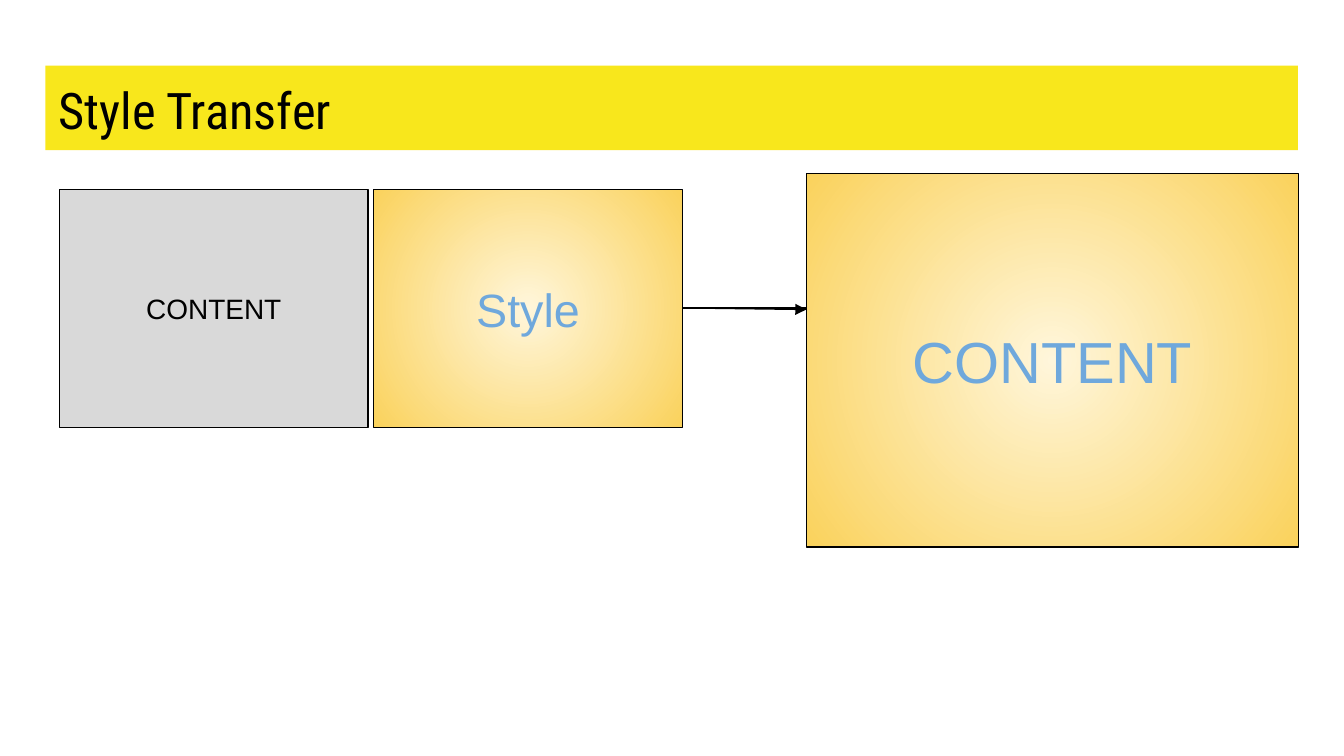
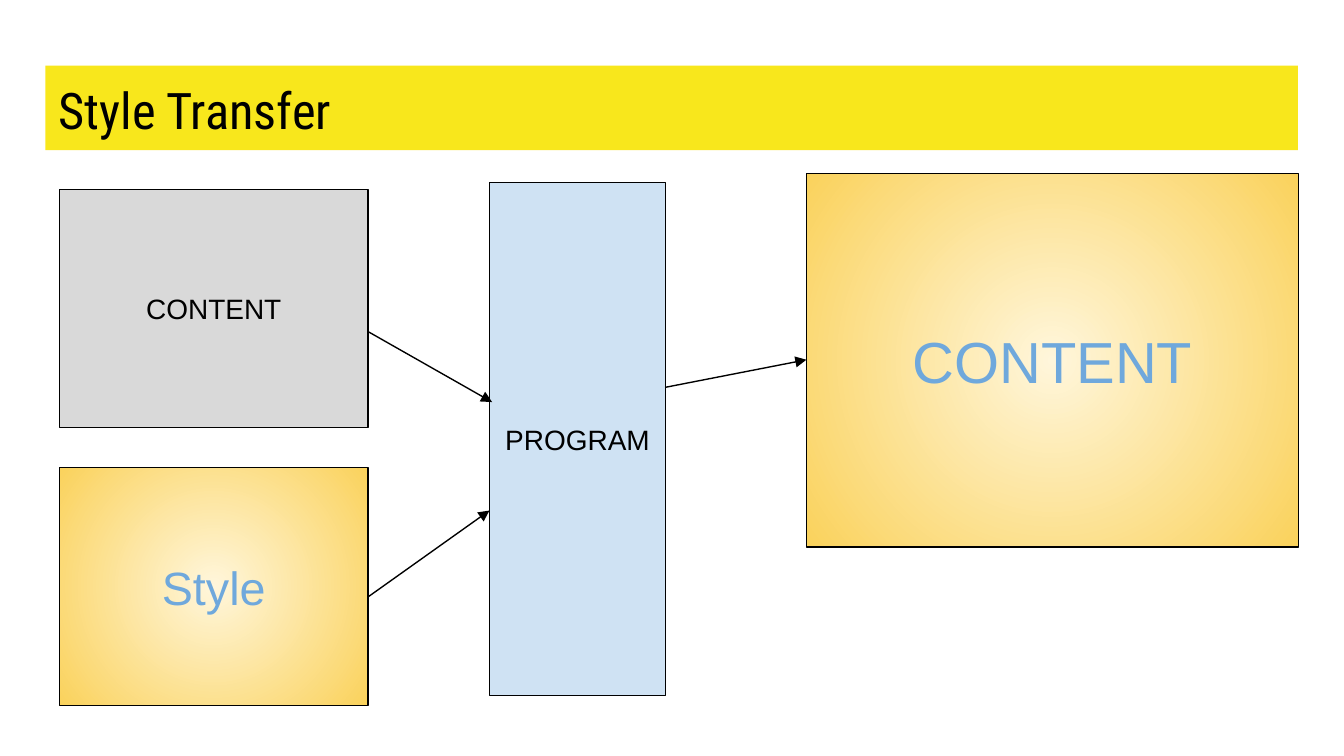
import pptx
import pptx.dml.color
import pptx.enum.shapes
import pptx.enum.text
import pptx.oxml
import pptx.oxml.ns
import pptx.util
from pptx.util import Cm

BLACK = "000000"
YELLOW = "F8E71C"
GREY = "D9D9D9"
PALE_BLUE = "CFE2F3"
SKY_BLUE = "6FA8DC"
GLOW = ("FFF6DB", "FAD25C")

INPUT_LEFT, INPUT_TOP, INPUT_WIDTH, INPUT_HEIGHT = 1.12, 3.58, 5.84, 4.5
INPUT_RIGHT = INPUT_LEFT + INPUT_WIDTH
RESULT_LEFT = 15.24


def color(hex_value):
    return pptx.dml.color.RGBColor.from_string(hex_value)


def drawing_element(tag, body="", attributes=""):
    namespace = pptx.oxml.ns.nsdecls("a")
    return pptx.oxml.parse_xml(f"<a:{tag} {namespace} {attributes}>{body}</a:{tag}>")


def fill_solid(shape, hex_value):
    shape.fill.solid()
    shape.fill.fore_color.rgb = color(hex_value)


def fill_glow(shape):
    shape.fill.gradient()
    for stop, position, hex_value in zip(shape.fill.gradient_stops, (0, 1), GLOW):
        stop.position = position
        stop.color.rgb = color(hex_value)
    linear = shape._element.spPr.find(".//" + pptx.oxml.ns.qn("a:lin"))
    center = '<a:fillToRect l="50000" t="50000" r="50000" b="50000"/>'
    linear.getparent().replace(linear, drawing_element("path", center, 'path="circle"'))


def add_rectangle(shapes, left, top, width, height, label, size, font, text_color):
    rectangle = shapes.add_shape(
        pptx.enum.shapes.MSO_SHAPE.RECTANGLE, Cm(left), Cm(top), Cm(width), Cm(height))
    rectangle.shadow.inherit = False
    frame = rectangle.text_frame
    frame.word_wrap = True
    frame.margin_left = frame.margin_right = Cm(0.25)
    frame.margin_top = frame.margin_bottom = Cm(0.25)
    frame.text = label
    run_font = frame.paragraphs[0].runs[0].font
    run_font.size = pptx.util.Pt(size)
    run_font.name = font
    run_font.color.rgb = color(text_color)
    return rectangle


def add_title(slide, title):
    band = add_rectangle(slide.shapes, 0.86, 1.24, 23.67, 1.6,
                         title, 27, "Roboto Condensed", BLACK)
    fill_solid(band, YELLOW)
    band.line.fill.background()
    band.text_frame.vertical_anchor = pptx.enum.text.MSO_ANCHOR.TOP
    band.text_frame.paragraphs[0].alignment = pptx.enum.text.PP_ALIGN.LEFT


def add_box(shapes, left, top, width, height, label, size=15, text_color=BLACK):
    box = add_rectangle(shapes, left, top, width, height, label, size, "Arial", text_color)
    box.line.color.rgb = color(BLACK)
    box.line.width = pptx.util.Pt(0.75)
    box.text_frame.vertical_anchor = pptx.enum.text.MSO_ANCHOR.MIDDLE
    box.text_frame.paragraphs[0].alignment = pptx.enum.text.PP_ALIGN.CENTER
    return box


def add_content(shapes):
    content = add_box(shapes, INPUT_LEFT, INPUT_TOP, INPUT_WIDTH, INPUT_HEIGHT, "CONTENT")
    fill_solid(content, GREY)


def add_style(shapes, left, top):
    fill_glow(add_box(shapes, left, top, INPUT_WIDTH, INPUT_HEIGHT, "Style", 25, SKY_BLUE))


def add_result(shapes):
    fill_glow(add_box(shapes, RESULT_LEFT, 3.28, 9.3, 7.06, "CONTENT", 31, SKY_BLUE))


def add_line(slide, start, end, arrow=True):
    line = slide.shapes.add_connector(
        pptx.enum.shapes.MSO_CONNECTOR.STRAIGHT, *map(Cm, start + end))
    line.line.color.rgb = color(BLACK)
    line.line.width = pptx.util.Pt(0.75)
    if arrow:
        line.line._get_or_add_ln().append(drawing_element("tailEnd", "", 'type="triangle"'))
    line._element.spPr.append(drawing_element("effectLst"))


def add_slide(presentation):
    slide = presentation.slides.add_slide(presentation.slide_layouts[6])
    add_title(slide, "Style Transfer")
    return slide


def build_idea(presentation):
    slide = add_slide(presentation)
    inputs = slide.shapes.add_group_shape().shapes
    style_left = 7.06
    style_right = style_left + INPUT_WIDTH
    add_content(inputs)
    add_style(inputs, style_left, INPUT_TOP)
    add_result(slide.shapes)
    add_line(slide, (style_right, 5.82), (RESULT_LEFT, 5.82), arrow=False)
    add_line(slide, (style_right, 5.82), (RESULT_LEFT, 5.85))


def build_program(presentation):
    slide = add_slide(presentation)
    program_left, program_width = 9.25, 3.33
    add_content(slide.shapes)
    add_style(slide.shapes, INPUT_LEFT, 8.84)
    add_result(slide.shapes)
    add_line(slide, (INPUT_RIGHT, 11.28), (program_left, 9.65))
    program = add_box(slide.shapes, program_left, 3.45, program_width, 9.7, "PROGRAM")
    fill_solid(program, PALE_BLUE)
    add_line(slide, (INPUT_RIGHT, 6.27), (9.3, 7.6))
    add_line(slide, (program_left + program_width, 7.32), (RESULT_LEFT, 6.8))


def main():
    presentation = pptx.Presentation()
    presentation.slide_width = Cm(25.4)
    presentation.slide_height = Cm(14.29)
    build_idea(presentation)
    build_program(presentation)
    presentation.save("out.pptx")


if __name__ == "__main__":
    main()
